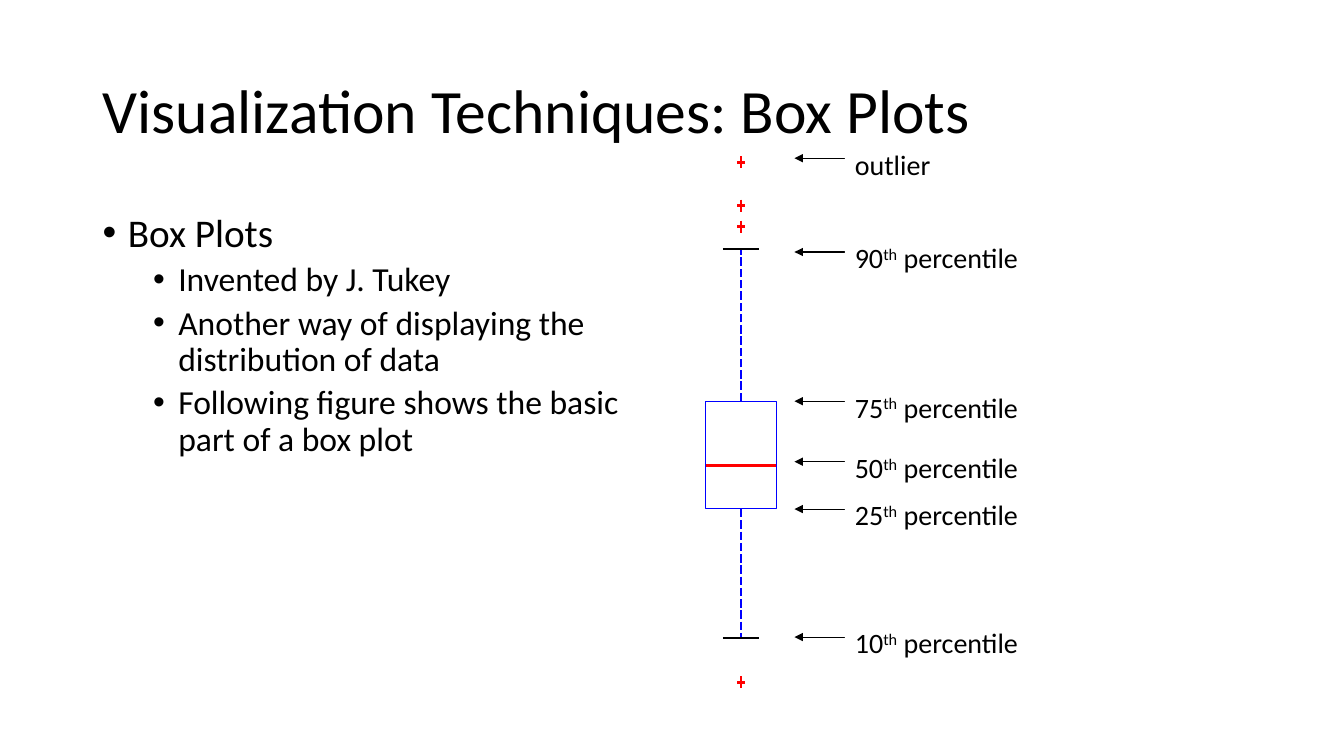
"""Build a slide that explains the parts of a box plot."""
from lxml.etree import SubElement
from pptx import Presentation
from pptx.dml.color import RGBColor
from pptx.enum.dml import MSO_LINE
from pptx.enum.shapes import MSO_CONNECTOR, MSO_SHAPE
from pptx.enum.text import MSO_ANCHOR, PP_ALIGN
from pptx.oxml.ns import qn
from pptx.util import Inches, Pt

TITLE = "Visualization Techniques: Box Plots"
BULLETS = [
    (0, "Box Plots"),
    (1, "Invented by J. Tukey"),
    (1, "Another way of displaying the distribution of data"),
    (1, "Following figure shows the basic part of a box plot"),
]
LEVELS = [(28, 10, 0.25), (24, 5, 0.75)]
LABELS = [
    (1.57, 1.29, 0.39, ["outlier"]),
    (6.32, 2.21, 0.59, ["10", "th", " percentile"]),
    (5.05, 2.12, 0.59, ["25", "th", " percentile"]),
    (3.98, 2.21, 0.58, ["75", "th", " percentile"]),
    (4.58, 2.04, 0.47, ["50", "th", " percentile"]),
    (2.5, 2.04, 0.59, ["90", "th", " percentile"]),
]
OUTLIERS = [1.61, 2.25, 2.04, 6.77]
AXIS, BOX_HALF, CAP_HALF = 7.35, 0.35, 0.18
P90, P75, P50, P25, P10 = 2.47, 3.98, 4.62, 5.05, 6.33
ARROW_TIP, LABEL_LEFT = 7.88, 8.38
BLACK, WHITE, BLUE, RED = "000000", "FFFFFF", "0000FF", "FF0000"

deck = Presentation()
deck.slide_width, deck.slide_height = Inches(13.33), Inches(7.5)
page = deck.slides.add_slide(deck.slide_layouts[6])


def paint(target, color):
    target.rgb = RGBColor.from_string(color)


def style_text(para, size):
    para.font.size = Pt(size)
    para.font.name = "Calibri"
    paint(para.font.color, BLACK)


def add_line(x1, y1, x2, y2, color, width=0):
    line = page.shapes.add_connector(
        MSO_CONNECTOR.STRAIGHT, Inches(x1), Inches(y1), Inches(x2), Inches(y2))
    paint(line.line.color, color)
    line.line.width = Pt(width)
    SubElement(line._element.spPr, qn("a:effectLst"))
    return line


def add_box(left, top, width, height):
    box = page.shapes.add_shape(
        MSO_SHAPE.RECTANGLE, Inches(left), Inches(top), Inches(width), Inches(height))
    box.shadow.inherit = False
    return box


def add_text(left, top, width, height):
    box = page.shapes.add_textbox(Inches(left), Inches(top), Inches(width), Inches(height))
    box.text_frame.word_wrap = True
    return box.text_frame


def add_title():
    frame = add_text(0.92, 0.4, 11.5, 1.45)
    frame.vertical_anchor = MSO_ANCHOR.MIDDLE
    para = frame.paragraphs[0]
    para.text = TITLE
    para.line_spacing = 0.9
    style_text(para, 44)


def add_bullets():
    frame = add_text(0.92, 2.07, 5.38, 4.76)
    for index, (level, text) in enumerate(BULLETS):
        para = frame.add_paragraph() if index else frame.paragraphs[0]
        size, space, indent = LEVELS[level]
        para.text = text
        para.level = level
        para.line_spacing = 0.9
        para.space_before = Pt(space)
        props = para._p.get_or_add_pPr()
        props.set("marL", str(Inches(indent)))
        props.set("indent", str(Inches(-0.25)))
        SubElement(props, qn("a:buFont")).set("typeface", "Arial")
        SubElement(props, qn("a:buChar")).set("char", "•")
        style_text(para, size)


def add_plot():
    quartiles = add_box(AXIS - BOX_HALF, P75, 2 * BOX_HALF, P25 - P75)
    quartiles.fill.background()
    paint(quartiles.line.color, BLUE)
    quartiles.line.width = Pt(0)
    for start, end, site in [(P75, P90, 0), (P25, P10, 2)]:
        whisker = add_line(AXIS, start, AXIS, end, BLUE)
        whisker.line.dash_style = MSO_LINE.SQUARE_DOT
        whisker.begin_connect(quartiles, site)
        add_line(AXIS - CAP_HALF, end, AXIS + CAP_HALF, end, BLACK)
    add_line(AXIS - BOX_HALF, P50, AXIS + BOX_HALF, P50, RED)
    for y in OUTLIERS:
        add_line(AXIS - 0.04, y, AXIS + 0.04, y, RED)
        add_line(AXIS, y - 0.06, AXIS, y + 0.06, RED)


def add_labels():
    for y, width, height, parts in LABELS:
        arrow = add_line(ARROW_TIP, y, LABEL_LEFT, y, BLACK, 0.75)
        SubElement(arrow.line._get_or_add_ln(), qn("a:headEnd")).set("type", "triangle")
        label = add_box(LABEL_LEFT, y - 0.16, width, height)
        label.fill.solid()
        paint(label.fill.fore_color, WHITE)
        label.line.fill.background()
        label.text_frame.word_wrap = True
        label.text_frame.vertical_anchor = MSO_ANCHOR.TOP
        para = label.text_frame.paragraphs[0]
        para.alignment = PP_ALIGN.LEFT
        style_text(para, 20)
        for part in parts:
            span = para.add_run()
            span.text = part
            if part == "th":
                span._r.get_or_add_rPr().set("baseline", "30000")


add_title()
add_bullets()
add_plot()
add_labels()
deck.save("out.pptx")
